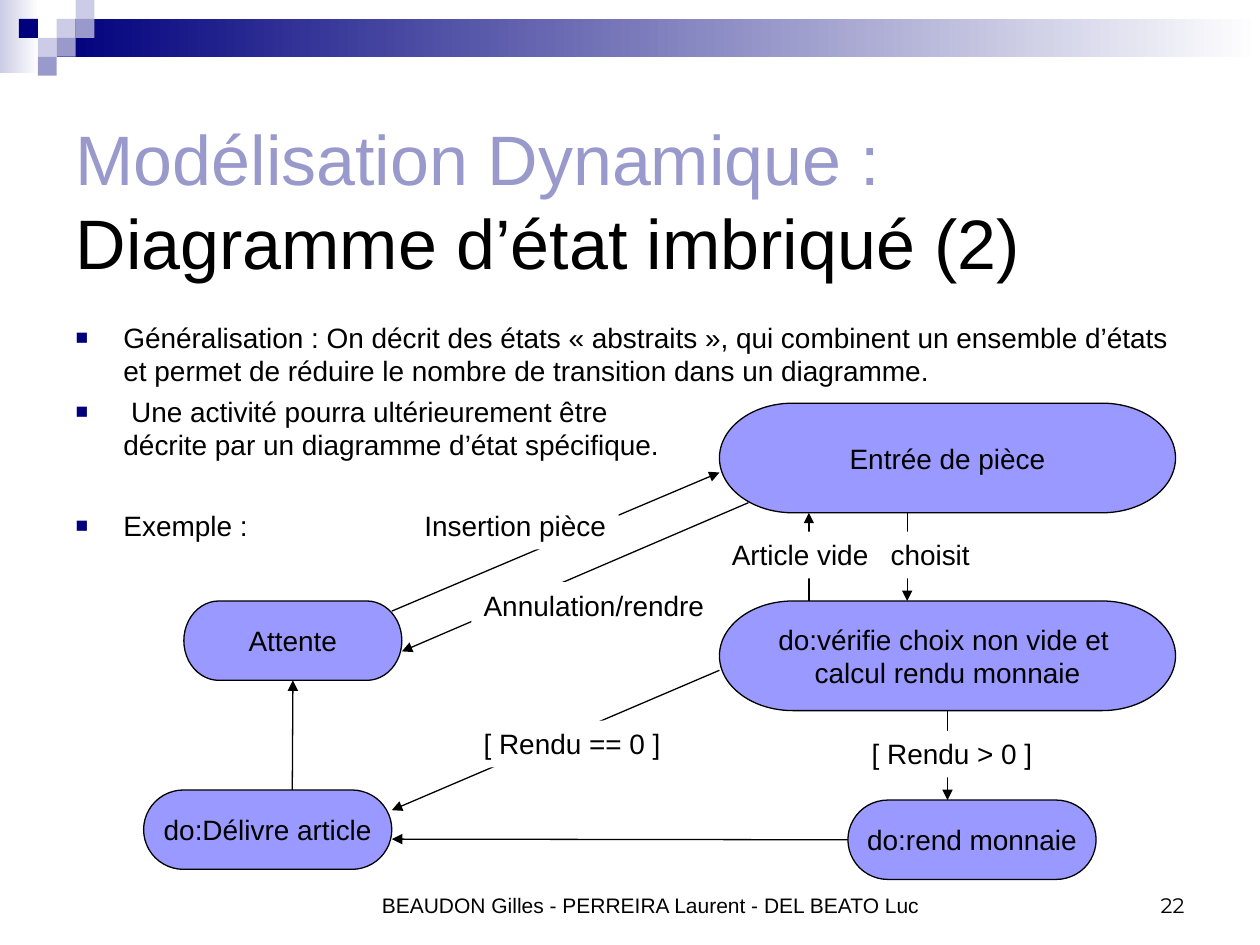
from dataclasses import dataclass

from lxml import etree
from pptx import Presentation
from pptx.dml.color import RGBColor
from pptx.enum import shapes, text
from pptx.oxml.ns import qn
from pptx.util import Inches, Pt


@dataclass(frozen=True)
class Theme:
    font: str = "Arial"
    number_font: str = "Montserrat"
    title_size: int = 40
    body_size: int = 16
    footer_size: int = 12
    ink: str = "000000"
    paper: str = "FFFFFF"
    accent: str = "9999CC"
    pale: str = "CCCCE6"
    navy: str = "00007D"
    state: str = "9999FF"


T = Theme()
ALIGN = text.PP_ALIGN
ANCHOR = text.MSO_ANCHOR


def rgb(value):
    return RGBColor.from_string(value)


def place(sp, box):
    sp.left, sp.top, sp.width, sp.height = (Inches(v) for v in box)


def style(runs, size, color=T.ink, font=T.font):
    for r in runs:
        r.font.size, r.font.name = Pt(size), font
        r.font.color.rgb = rgb(color)


def write(sp, words, size=T.body_size, align=ALIGN.LEFT,
          anchor=ANCHOR.TOP, wrap=False, font=T.font):
    tf = sp.text_frame
    tf.text = words
    tf.word_wrap, tf.vertical_anchor = wrap, anchor
    for p in tf.paragraphs:
        p.alignment = align
        style(p.runs, size, font=font)


def add_shape(slide, kind, box, fill, line=None):
    sp = slide.shapes.add_shape(kind, *(Inches(v) for v in box))
    sp.shadow.inherit = False
    if isinstance(fill, tuple):
        sp.fill.gradient()
        sp.fill.gradient_angle = 180
        for stop, color in zip(sp.fill.gradient_stops, fill):
            stop.color.rgb = rgb(color)
    else:
        sp.fill.solid()
        sp.fill.fore_color.rgb = rgb(fill)
    if line:
        sp.line.color.rgb = rgb(line)
        sp.line.width = Pt(0.75)
    else:
        sp.line.fill.background()
    return sp


def add_banner(slide, box):
    """Gradient bands and a mosaic of small squares along the top edge."""
    x, y, w, h = box
    rect = shapes.MSO_SHAPE.RECTANGLE
    cell = 0.15
    add_shape(slide, rect, (x, y, 0.31, 0.58), (T.paper, T.pale))
    add_shape(slide, rect, (x + 0.45, y + cell, w - 0.45, h), (T.paper, T.navy))
    mosaic = [(3, 1, T.pale), (4, 0, T.pale), (4, 1, T.accent), (2, 2, T.pale),
              (1, 1, T.navy), (3, 2, T.accent), (2, 3, T.accent)]
    for col, row, color in mosaic:
        add_shape(slide, rect, (x + col * cell, y + row * cell, cell, cell), color)


def add_title(slide, box):
    sp = slide.shapes.title
    place(sp, box)
    tf = sp.text_frame
    tf.word_wrap, tf.auto_size = True, text.MSO_AUTO_SIZE.NONE
    tf.vertical_anchor = ANCHOR.MIDDLE
    p = tf.paragraphs[0]
    p.alignment = ALIGN.LEFT
    for words, color in [("Modélisation Dynamique :", T.accent),
                         (" Diagramme d’état imbriqué (2)", T.ink)]:
        r = p.add_run()
        r.text = words
        style([r], T.title_size, color)


def add_bullet(p):
    pPr = p._p.get_or_add_pPr()
    pPr.set("marL", str(Inches(0.38)))
    pPr.set("indent", str(-Inches(0.38)))
    color = etree.SubElement(pPr, qn("a:buClr"))
    etree.SubElement(color, qn("a:srgbClr"), val=T.navy)
    etree.SubElement(pPr, qn("a:buSzPct"), val="75000")
    etree.SubElement(pPr, qn("a:buFont"), typeface=T.font)
    etree.SubElement(pPr, qn("a:buChar"), char="■")


def add_body(slide, box):
    sp = slide.placeholders[1]
    place(sp, box)
    tf = sp.text_frame
    tf.word_wrap, tf.auto_size = True, text.MSO_AUTO_SIZE.NONE
    items = [
        ("Généralisation : On décrit des états «\u00a0abstraits\u00a0», qui combinent un "
         "ensemble d’états et permet de réduire le nombre de transition dans un diagramme.", 0),
        (" Une activité pourra ultérieurement être \v"
         "décrite par un diagramme d’état spécifique.", 4),
        ("Exemple :", 27),
    ]
    for i, (words, before) in enumerate(items):
        p = tf.add_paragraph() if i else tf.paragraphs[0]
        p.text = words
        add_bullet(p)
        p.space_before = Pt(before)
        style(p.runs, T.body_size)


def add_arrow(slide, start, end):
    c = slide.shapes.add_connector(shapes.MSO_CONNECTOR.STRAIGHT,
                                   *(Inches(v) for v in start + end))
    c.line.color.rgb = rgb(T.ink)
    c.line.width = Pt(0.75)
    etree.SubElement(c.line._get_or_add_ln(), qn("a:tailEnd"), type="triangle")
    etree.SubElement(c._element.spPr, qn("a:effectLst"))
    return c


def add_diagram(slide, box):
    x, y, w, h = box

    def at(dx, dy):
        return x + dx, y + dy

    # States
    big, small, medium = (3.62, 0.87), (1.97, 0.63), (1.73, 0.63)
    states = {}
    for name, words, pos, size in [
        ("waiting", "Attente", (0.32, 1.57), medium),
        ("deliver", "do:Délivre article", (0, 3.07), small),
        ("coin", "Entrée de pièce", (w - big[0], 0), big),
        ("check", "do:vérifie choix non vide et \vcalcul rendu monnaie",
         (w - big[0], 1.57), big),
        ("change", "do:rend monnaie", (5.59, h - small[1]), small),
    ]:
        sp = add_shape(slide, shapes.MSO_SHAPE.FLOWCHART_TERMINATOR,
                       at(*pos) + size, T.state, T.ink)
        write(sp, words, align=ALIGN.CENTER, anchor=ANCHOR.MIDDLE)
        states[name] = sp

    # Transitions
    for start, end in [((1.97, 1.65), (4.57, 0.55)), ((4.8, 0.79), (2.05, 1.97)),
                       ((5.28, 1.57), (5.28, 0.87)), ((6.06, 0.87), (6.06, 1.57)),
                       ((4.57, 2.12), (1.97, 3.23))]:
        add_arrow(slide, at(*start), at(*end))
    add_arrow(slide, at(6.38, 2.44), at(6.38, 3.15)).begin_connect(states["check"], 2)
    add_arrow(slide, at(5.59, 3.46), at(1.97, 3.46)).begin_connect(states["change"], 1)
    add_arrow(slide, at(1.18, 3.07), at(1.18, 2.2)).end_connect(states["waiting"], 2)

    # Transition labels, masking the arrows behind them
    for words, dx, dy, width in [
        ("Insertion pièce", 2.13, 0.79, 1.64), ("Annulation/rendre", 2.6, 1.42, 1.95),
        ("Article vide", 4.57, 1.02, 1.28), ("choisit", 5.83, 1.02, 0.83),
        ("[ Rendu > 0 ]", 5.68, 2.6, 1.47), ("[ Rendu == 0 ]", 2.6, 2.52, 1.6),
    ]:
        sp = add_shape(slide, shapes.MSO_SHAPE.RECTANGLE,
                       at(dx, dy) + (width, 0.37), T.paper)
        write(sp, words)


def add_footer(slide, box):
    x, y, w, h = box
    for words, left, width, align, font in [
        ("BEAUDON Gilles - PERREIRA Laurent - DEL BEATO Luc", x, 6.33, ALIGN.CENTER, T.font),
        ("22", x + w - 1, 1, ALIGN.RIGHT, T.number_font),
    ]:
        sp = slide.shapes.add_textbox(*(Inches(v) for v in (left, y, width, h)))
        write(sp, words, T.footer_size, align, ANCHOR.BOTTOM, True, font)


def main():
    prs = Presentation()
    prs.slide_width, prs.slide_height = Inches(10), Inches(7.5)
    slide = prs.slides.add_slide(prs.slide_layouts[1])
    add_banner(slide, (0, 0, 10, 0.3))
    add_title(slide, (0.5, 0.83, 9, 1.5))
    add_body(slide, (0.5, 2.49, 9, 3.93))
    add_diagram(slide, (1.14, 3.2, 8.19, 3.78))
    add_footer(slide, (2, 6.83, 7.5, 0.5))
    prs.save("out.pptx")


if __name__ == "__main__":
    main()
